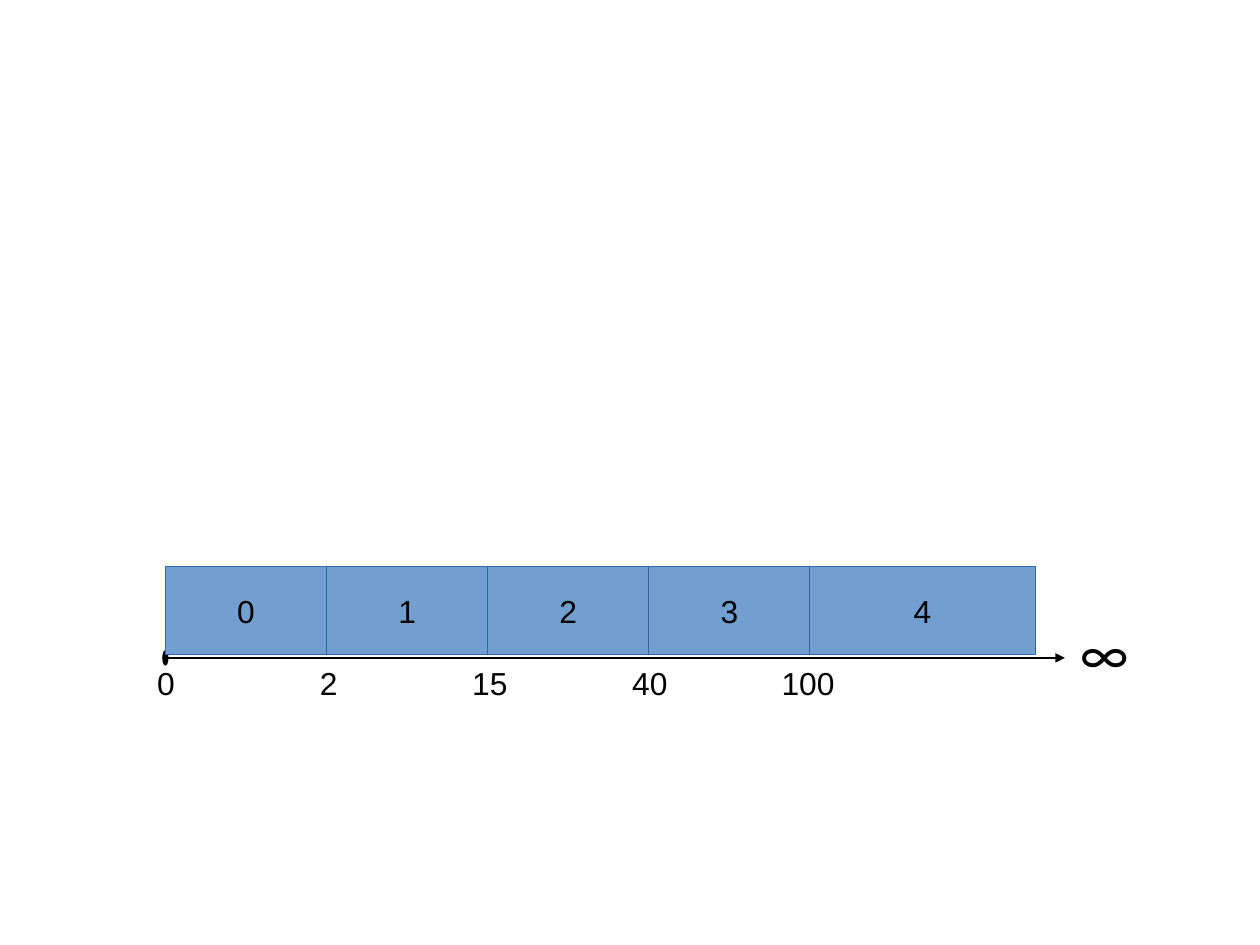
import pptx
import pptx.dml.color
import pptx.enum.shapes
import pptx.enum.text
import pptx.oxml.ns
import pptx.util
import lxml.etree

Pt = pptx.util.Pt
LEFT, TOP, HEIGHT = 104.2, 356.8, 55.4
BUCKET_WIDTH, LAST_WIDTH = 101.5, 141.9
AXIS_Y, AXIS_END = 414.4, 670.8
BOUNDS = [("0", 104.5), ("2", 207), ("15", 308.6), ("40", 409.3), ("100", 509)]
LABEL = {"name": "Arial", "size": Pt(20)}
INFINITY = {"name": "Calibri", "size": Pt(36)}


def color(value):
    return pptx.dml.color.RGBColor.from_string(value)


def set_text(sp, text, font):
    tf = sp.text_frame
    frame = {"word_wrap": False, "margin_left": Pt(7.2), "margin_right": Pt(7.2),
             "margin_top": Pt(3.6), "margin_bottom": Pt(3.6)}
    for key, value in frame.items():
        setattr(tf, key, value)
    p = tf.paragraphs[0]
    p.alignment = pptx.enum.text.PP_ALIGN.CENTER
    r = p.add_run()
    r.text = text
    for key, value in font.items():
        setattr(r.font, key, value)
    r.font.color.rgb = color("000000")


def add_bucket(slide, x, width, text):
    sp = slide.shapes.add_shape(pptx.enum.shapes.MSO_SHAPE.RECTANGLE,
                                Pt(x), Pt(TOP), Pt(width), Pt(HEIGHT))
    sp.shadow.inherit = False
    sp.fill.solid()
    sp.fill.fore_color.rgb = color("729FCF")
    sp.line.color.rgb = color("3465AF")
    sp.line.width = Pt(0)
    set_text(sp, text, LABEL)
    sp.text_frame.vertical_anchor = pptx.enum.text.MSO_ANCHOR.MIDDLE


def add_label(slide, center, top, width, height, text, font):
    sp = slide.shapes.add_textbox(Pt(center - width / 2), Pt(top), Pt(width), Pt(height))
    set_text(sp, text, font)
    sp.text_frame.auto_size = pptx.enum.text.MSO_AUTO_SIZE.SHAPE_TO_FIT_TEXT


def add_axis(slide):
    line = slide.shapes.add_connector(pptx.enum.shapes.MSO_CONNECTOR.STRAIGHT,
                                      Pt(LEFT), Pt(AXIS_Y), Pt(AXIS_END), Pt(AXIS_Y))
    line.line.color.rgb = color("000000")
    line.line.width = Pt(1.45)
    qn = pptx.oxml.ns.qn
    ln = line.line._get_or_add_ln()
    lxml.etree.SubElement(ln, qn("a:headEnd"), type="oval", w="lg", len="sm")
    lxml.etree.SubElement(ln, qn("a:tailEnd"), type="triangle", w="med", len="med")
    lxml.etree.SubElement(ln.getparent(), qn("a:effectLst"))


def main():
    prs = pptx.Presentation()
    prs.slide_width, prs.slide_height = Pt(793.7), Pt(595.28)
    slide = prs.slides.add_slide(prs.slide_layouts[6])
    add_axis(slide)
    for i, (bound, center) in enumerate(BOUNDS):
        width = LAST_WIDTH if i == len(BOUNDS) - 1 else BUCKET_WIDTH
        add_bucket(slide, LEFT + i * BUCKET_WIDTH, width, str(i))
        add_label(slide, center, AXIS_Y, 14.4 + 11.1 * len(bound), 29.5, bound, LABEL)
    add_label(slide, 693.7, 385.2, 41, 65.5, "∞", INFINITY)
    prs.save("out.pptx")


if __name__ == "__main__":
    main()
